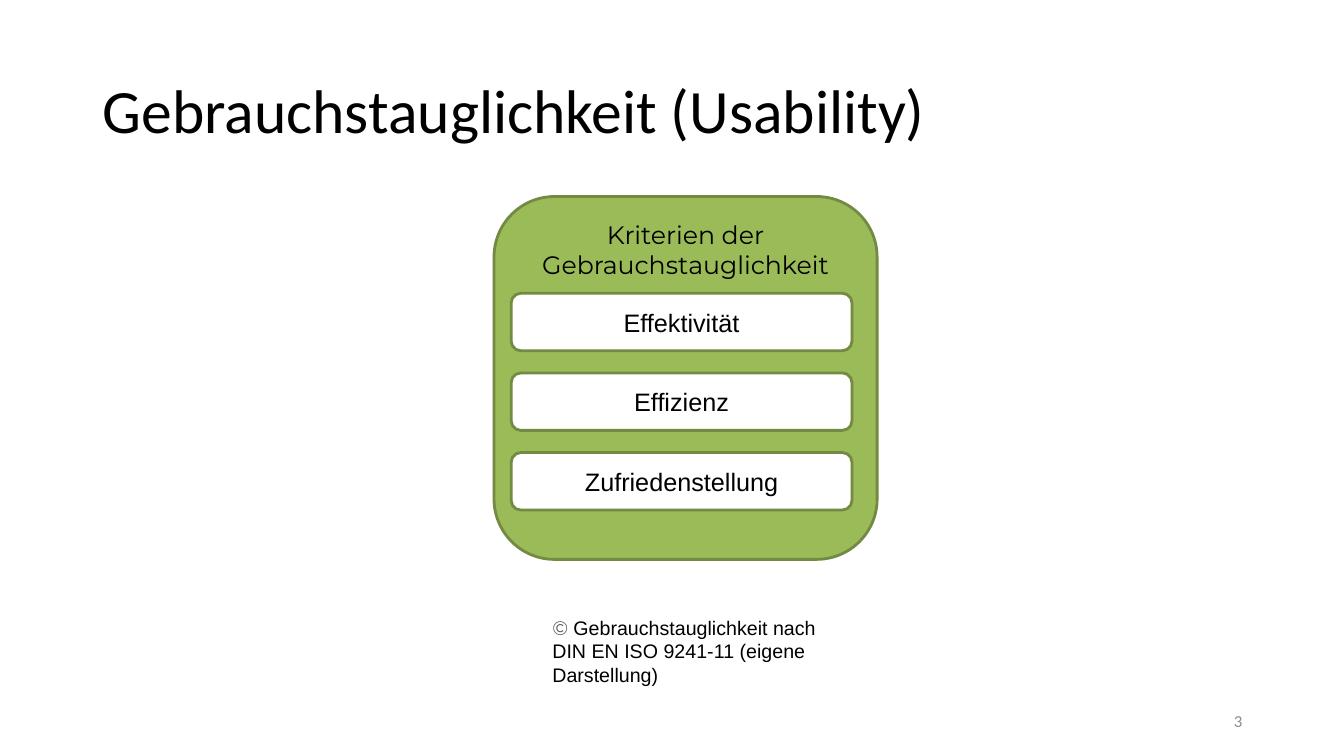
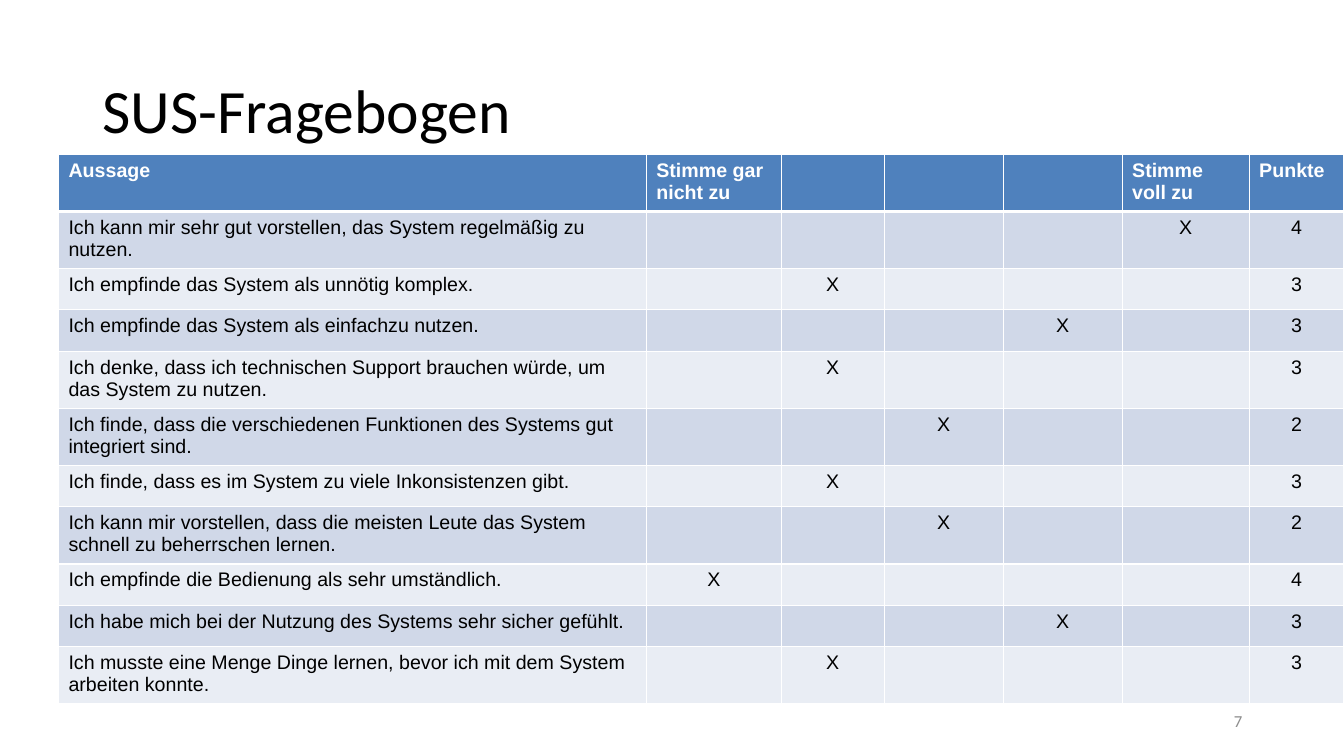
from dataclasses import dataclass

from lxml.etree import SubElement
from pptx import Presentation
from pptx.dml.color import RGBColor
from pptx.enum.shapes import MSO_SHAPE as Shape
from pptx.enum.text import MSO_ANCHOR as Anchor, PP_ALIGN as Align
from pptx.oxml.ns import qn
from pptx.util import Inches, Pt


@dataclass(frozen=True)
class Theme:
    black: str = "000000"
    white: str = "FFFFFF"
    page_gray: str = "8C8C8C"
    caption_gray: str = "535353"
    green: str = "9BBB59"
    dark_green: str = "738A42"
    header_blue: str = "4F81BD"
    bands: tuple = ("D0D8E8", "E9EDF4")
    title_font: str = "Calibri"
    body_font: str = "Arial"
    accent_font: str = "Montserrat"
    title_size: int = 44
    body_size: int = 18
    small_size: int = 14
    page_size: int = 12
    outline: int = 2
    grid_line: int = 1
    header_line: int = 3


THEME = Theme()

USABILITY = {
    "title": "Gebrauchstauglichkeit (Usability)",
    "page": "3",
    "heading": "Kriterien der Gebrauchstauglichkeit",
    "criteria": ["Effektivität", "Effizienz", "Zufriedenstellung"],
    "caption": "Gebrauchstauglichkeit nach DIN EN ISO 9241-11 (eigene Darstellung)",
}

QUESTIONNAIRE = {
    "title": "SUS-Fragebogen",
    "page": "7",
    "header": ["Aussage", "Stimme gar nicht zu", "", "", "", "Stimme voll zu", "Punkte"],
    # Statement and the marked step on the scale from 1 to 5
    "answers": [
        ("Ich kann mir sehr gut vorstellen, das System regelmäßig zu nutzen.", 5),
        ("Ich empfinde das System als unnötig komplex.", 2),
        ("Ich empfinde das System als einfachzu nutzen.", 4),
        ("Ich denke, dass ich technischen Support brauchen würde, um das System zu nutzen.", 2),
        ("Ich finde, dass die verschiedenen Funktionen des Systems gut integriert sind.", 3),
        ("Ich finde, dass es im System zu viele Inkonsistenzen gibt.", 2),
        ("Ich kann mir vorstellen, dass die meisten Leute das System schnell zu "
         "beherrschen lernen.", 3),
        ("Ich empfinde die Bedienung als sehr umständlich.", 1),
        ("Ich habe mich bei der Nutzung des Systems sehr sicher gefühlt.", 4),
        ("Ich musste eine Menge Dinge lernen, bevor ich mit dem System arbeiten konnte.", 2),
    ],
}
SCALE_STEPS = 5
COLUMN_WIDTHS = [5.83, 1.34, 1.02, 1.18, 1.18, 1.26, 0.94]
ROW_HEIGHT = 0.41


def color(value):
    return RGBColor.from_string(value)


def text_format(size=THEME.body_size, name=THEME.body_font, fill=THEME.black, bold=False):
    return {"size": Pt(size), "name": name, "bold": bold, "fill": fill}


def add_run(paragraph, text, **style):
    run = paragraph.add_run()
    run.text = text
    for key, value in text_format(**style).items():
        if key == "fill":
            run.font.color.rgb = color(value)
        else:
            setattr(run.font, key, value)


def write(frame, runs, align=Align.LEFT, anchor=Anchor.TOP, line_spacing=None):
    """Fill a text frame with one paragraph of (text, style) runs."""
    frame.word_wrap = True
    frame.vertical_anchor = anchor
    paragraph = frame.paragraphs[0]
    for key, value in {"alignment": align, "line_spacing": line_spacing}.items():
        setattr(paragraph, key, value)
    for text, style in runs:
        add_run(paragraph, text, **style)


def add_text(slide, box, runs, **layout):
    shape = slide.shapes.add_textbox(*map(Inches, box))
    write(shape.text_frame, runs, **layout)


def add_rounded(slide, box, text, fill, anchor=Anchor.MIDDLE, **style):
    shape = slide.shapes.add_shape(Shape.ROUNDED_RECTANGLE, *map(Inches, box))
    shape.shadow.inherit = False
    shape.fill.solid()
    shape.fill.fore_color.rgb = color(fill)
    shape.line.color.rgb = color(THEME.dark_green)
    shape.line.width = Pt(THEME.outline)
    write(shape.text_frame, [(text, style)], align=Align.CENTER, anchor=anchor)


def add_slide(presentation, content):
    """Add a blank slide with the shared title and page number."""
    slide = presentation.slides.add_slide(presentation.slide_layouts[6])
    title_style = {"size": THEME.title_size, "name": THEME.title_font}
    page_style = {"size": THEME.page_size, "name": THEME.title_font, "fill": THEME.page_gray}
    add_text(slide, (0.92, 0.4, 11.5, 1.45), [(content["title"], title_style)],
             anchor=Anchor.MIDDLE, line_spacing=0.9)
    add_text(slide, (9.42, 6.95, 3, 0.4), [(content["page"], page_style)],
             align=Align.RIGHT, anchor=Anchor.MIDDLE)
    return slide


def build_usability(presentation):
    slide = add_slide(presentation, USABILITY)
    small = {"size": THEME.small_size}
    add_text(slide, (5.38, 6.06, 3.01, 0.81), [
        ("© ", {**small, "name": THEME.accent_font, "fill": THEME.caption_gray}),
        (USABILITY["caption"], small),
    ])
    add_rounded(slide, (4.9, 1.95, 3.8, 3.6), USABILITY["heading"], THEME.green,
                anchor=Anchor.TOP, name=THEME.accent_font)
    top, height, gap = 2.91, 0.57, 0.22
    for index, criterion in enumerate(USABILITY["criteria"]):
        box = (5.07, top + index * (height + gap), 3.38, height)
        add_rounded(slide, box, criterion, THEME.white)


def answer_row(index, statement, step):
    """Odd statements score step - 1, even ones the reverse."""
    points = step - 1 if index % 2 == 0 else SCALE_STEPS - step
    marks = ["X" if column == step else "" for column in range(1, SCALE_STEPS + 1)]
    return [statement, *marks, str(points)]


def set_borders(cell, widths):
    properties = cell._tc.get_or_add_tcPr()
    for position, (side, width) in enumerate(widths.items()):
        line = SubElement(properties, qn(f"a:ln{side}"), w=str(Pt(width)))
        fill = SubElement(line, qn("a:solidFill"))
        SubElement(fill, qn("a:srgbClr"), val=THEME.white)
        properties.insert(position, line)


def build_questionnaire(presentation):
    slide = add_slide(presentation, QUESTIONNAIRE)
    answers = QUESTIONNAIRE["answers"]
    rows = [QUESTIONNAIRE["header"]]
    rows += [answer_row(index, *answer) for index, answer in enumerate(answers)]
    size = (sum(COLUMN_WIDTHS), ROW_HEIGHT * len(rows))
    table = slide.shapes.add_table(len(rows), len(COLUMN_WIDTHS),
                                   *map(Inches, (0.58, 1.53, *size))).table
    for column, width in zip(table.columns, COLUMN_WIDTHS):
        column.width = Inches(width)
    for row_index, texts in enumerate(rows):
        is_header = row_index == 0
        fill = THEME.header_blue if is_header else THEME.bands[(row_index - 1) % 2]
        style = {"size": THEME.small_size, "bold": is_header,
                 "fill": THEME.white if is_header else THEME.black}
        borders = dict.fromkeys("LRTB", THEME.grid_line)
        if row_index < 2:
            borders["B" if is_header else "T"] = THEME.header_line
        table.rows[row_index].height = Inches(ROW_HEIGHT)
        for column_index, text in enumerate(texts):
            cell = table.cell(row_index, column_index)
            cell.fill.solid()
            cell.fill.fore_color.rgb = color(fill)
            set_borders(cell, borders)
            if text:
                centered = not is_header and column_index > 0
                write(cell.text_frame, [(text, style)],
                      align=Align.CENTER if centered else Align.LEFT)


def main():
    presentation = Presentation()
    presentation.slide_width = Inches(13.33)
    presentation.slide_height = Inches(7.5)
    build_usability(presentation)
    build_questionnaire(presentation)
    presentation.save("out.pptx")


if __name__ == "__main__":
    main()
